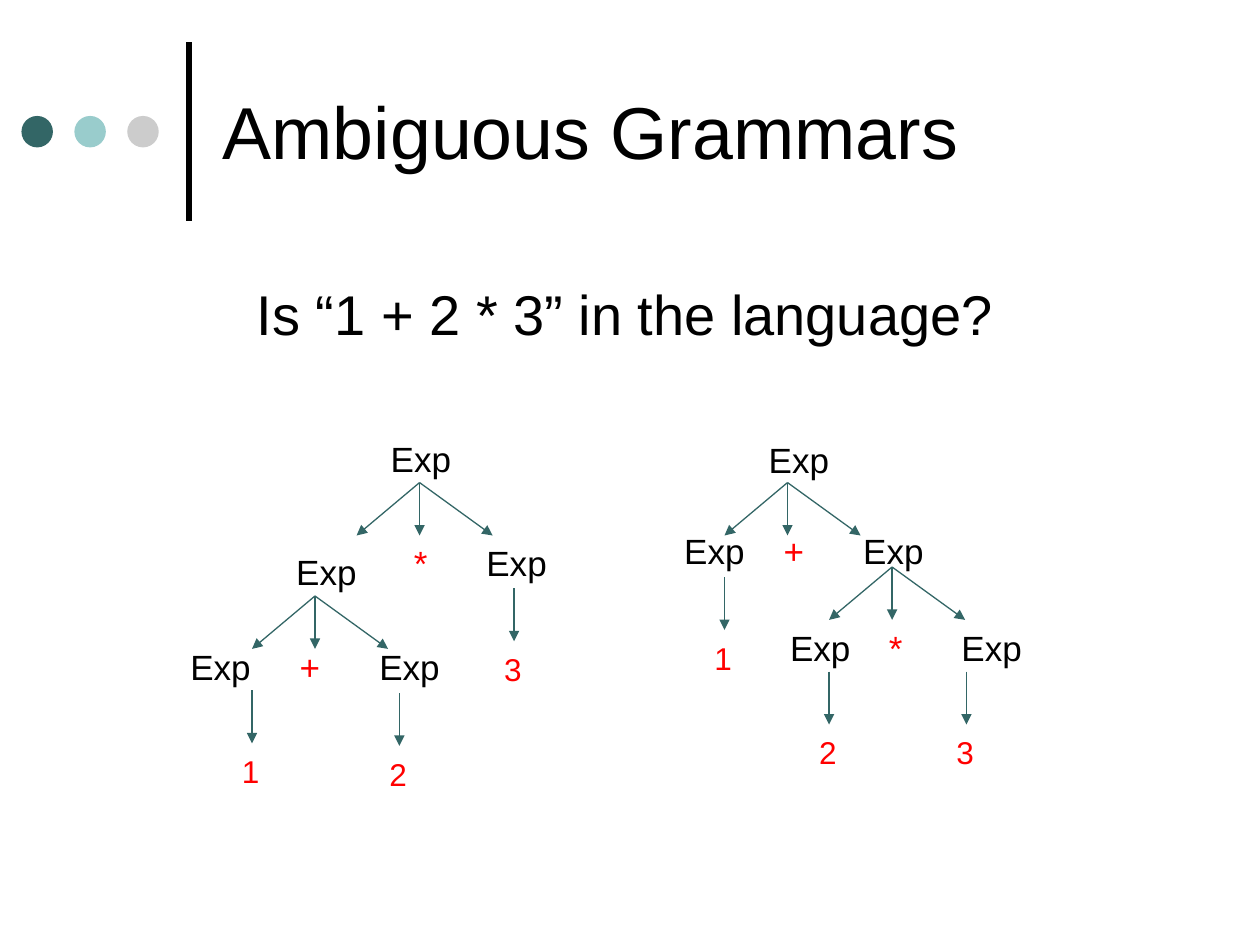
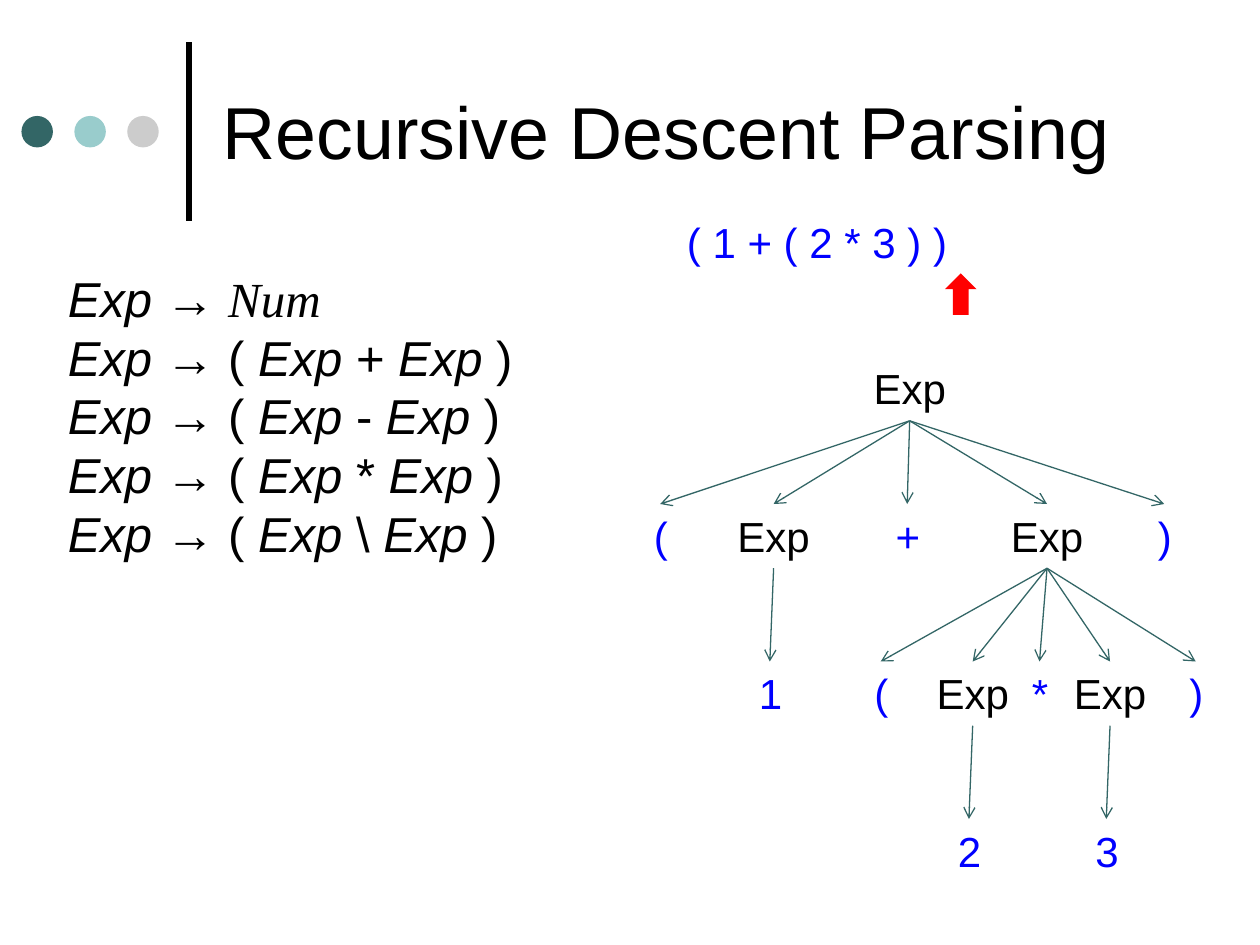
from lxml import etree
from pptx import Presentation
from pptx.dml.color import RGBColor
from pptx.enum.shapes import MSO_CONNECTOR, MSO_SHAPE
from pptx.enum.text import MSO_ANCHOR, PP_ALIGN
from pptx.oxml.ns import qn
from pptx.util import Pt

LINE = MSO_CONNECTOR.STRAIGHT
DOT, UP = MSO_SHAPE.OVAL, MSO_SHAPE.UP_ARROW
MID, TOP = MSO_ANCHOR.MIDDLE, MSO_ANCHOR.TOP
LEFT, CENTER = PP_ALIGN.LEFT, PP_ALIGN.CENTER

PX = 9144  # 100 px to the inch
COLORS = {"ink": "000000", "teal": "336666", "aqua": "99CCCC",
          "gray": "CCCCCC", "red": "FF0000", "blue": "0000FF"}


def color(name):
    return RGBColor.from_string(COLORS[name])


class Deck:
    """Holds the style and the current slide."""

    def __init__(self):
        self.prs = Presentation()
        self.prs.slide_width, self.prs.slide_height = 1000 * PX, 750 * PX

    def start(self, title, size, token, head):
        """Open a slide with its tree style, side band and title."""
        self.size, self.token, self.head = size, token, head
        self.slide = self.prs.slides.add_slide(self.prs.slide_layouts[6])
        self.line(150, 175, 150, 33, "ink", 3)
        for i, name in enumerate(("teal", "aqua", "gray")):
            self.shape(DOT, 17 + 42 * i, 92, 25, 25, name)
        self.text([[(title, {})]], 167, 20, 767, 167, 42, anchor=MID)

    def shape(self, kind, x, y, w, h, fill):
        item = self.slide.shapes.add_shape(kind, x * PX, y * PX, w * PX, h * PX)
        item.shadow.inherit = False
        item.fill.solid()
        item.fill.fore_color.rgb = color(fill)
        item.line.fill.background()

    def line(self, x1, y1, x2, y2, name="teal", width=0.75, head=None):
        item = self.slide.shapes.add_connector(
            LINE, x1 * PX, y1 * PX, x2 * PX, y2 * PX)
        item.line.width = Pt(width)
        item.line.color.rgb = color(name)
        if head:
            etree.SubElement(item.line._get_or_add_ln(), qn("a:tailEnd"), type=head)
        etree.SubElement(item._element.spPr, qn("a:effectLst"))

    def text(self, rows, x, y, w, h, size, name="ink", align=LEFT, anchor=TOP):
        """Each row is a list of (words, format) runs; centred text never wraps."""
        box = self.slide.shapes.add_textbox(x * PX, y * PX, w * PX, h * PX)
        frame = box.text_frame
        frame.word_wrap, frame.vertical_anchor = align == LEFT, anchor
        for i, row in enumerate(rows):
            para = frame.add_paragraph() if i else frame.paragraphs[0]
            para.alignment = align
            for words, extra in row:
                run = para.add_run()
                run.text = words
                look = {"name": "Arial", "size": Pt(size), **extra}
                for key, value in look.items():
                    setattr(run.font, key, value)
                run.font.color.rgb = color(name)

    def node(self, word, x, y, size=None):
        """A tree label centred on x; tokens take the accent colour."""
        size = size or self.size
        w = 20 + round(0.8 * size * len(word))
        name = "ink" if word == "Exp" else self.token
        self.text([[(word, {})]], x - w // 2, y, w, 10 + size * 5 // 3,
                  size, name, CENTER)

    def fan(self, x, y, ends, bottom):
        for end in ends:
            self.line(x, y, end, bottom, head=self.head)


def ambiguous(deck):
    deck.start("Ambiguous Grammars", 20, "red", "triangle")
    deck.text([[("Is “1 + 2 * 3” in the language?", {})]],
              194, 217, 620, 64, 32)
    # Words of both trees
    nodes = [
        ("Exp", 334, 342), ("Exp", 259, 432), ("*", 334, 425), ("Exp", 410, 425),
        ("Exp", 175, 507), ("+", 246, 507), ("Exp", 325, 507),
        ("Exp", 634, 343), ("Exp", 567, 415), ("+", 630, 415), ("Exp", 709, 415),
        ("Exp", 651, 492), ("*", 711, 492), ("Exp", 787, 492)]
    for word, x, y in nodes:
        deck.node(word, x, y)
    # Three-way forks
    for x, y in [(333, 383), (250, 473), (625, 383), (708, 450)]:
        deck.fan(x, y, (x - 50, x, x + 58), y + 42)
    # Arrows down to the numbers
    drops = [("1", 200, 548), ("2", 317, 550), ("3", 408, 467),
             ("1", 575, 458), ("2", 658, 533), ("3", 767, 533)]
    for digit, x, y in drops:
        deck.fan(x, y, (x,), y + 42)
        deck.node(digit, x - 1, y + 44, 18)


def descent(deck):
    deck.start("Recursive Descent Parsing", 24, "blue", "arrow")
    # Grammar rules: words are italic, symbols upright
    rules = ["Exp → Num"] + [f"Exp → ( Exp {op} Exp )" for op in "+-*\\"]
    rows = []
    for rule in rules:
        words = rule.split()
        row = [(word + " ", {"italic": word.isalpha()}) for word in words[:-1]]
        final = {"italic": True, "name": "Times New Roman"}
        row.append((words[-1], final if words[-1] == "Num" else {}))
        rows.append(row)
    deck.text(rows, 44, 208, 400, 244, 28)
    # Input and its read mark
    deck.text([[("( 1 + ( 2 * 3 ) )", {})]], 535, 167, 227, 50, 24, "blue", CENTER)
    deck.shape(UP, 750, 217, 25, 33, "red")
    # Parse tree: parent x, parent top, child top, children
    deck.node("Exp", 722, 283)
    tree = [
        (722, 283, 400, [("(", 524), ("Exp", 614), ("+", 720),
                         ("Exp", 831), (")", 924)]),
        (614, 400, 525, [("1", 611)]),
        (831, 400, 525, [("(", 699), ("Exp", 772), ("*", 825),
                         ("Exp", 881), (")", 949)]),
        (772, 525, 650, [("2", 769)]),
        (881, 525, 650, [("3", 878)])]
    for x, y, below, kids in tree:
        deck.fan(x, y + 51, [end for _, end in kids], below)
        for word, end in kids:
            deck.node(word, end, below)


def main():
    deck = Deck()
    ambiguous(deck)
    descent(deck)
    deck.prs.save("out.pptx")


if __name__ == "__main__":
    main()
